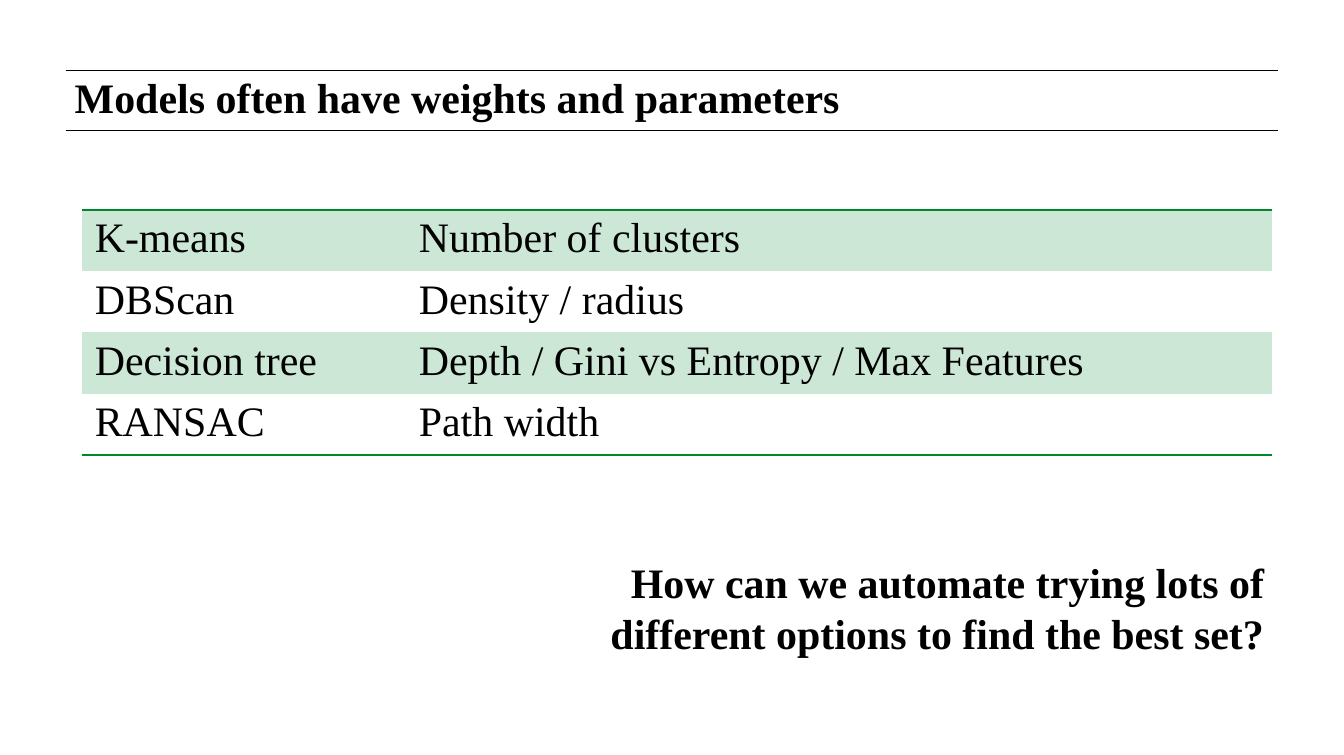
from lxml import etree
from pptx import Presentation
from pptx.dml.color import RGBColor
from pptx.enum.shapes import MSO_CONNECTOR
from pptx.enum.text import MSO_ANCHOR, PP_ALIGN
from pptx.oxml import parse_xml
from pptx.oxml.ns import nsdecls, qn
from pptx.util import Pt

STRAIGHT = MSO_CONNECTOR.STRAIGHT
TOP, MIDDLE = MSO_ANCHOR.TOP, MSO_ANCHOR.MIDDLE
LEFT, RIGHT = PP_ALIGN.LEFT, PP_ALIGN.RIGHT

TITLE = "Models often have weights and parameters"
QUESTION = "How can we automate trying lots of different options to find the best set?"
MODELS = [
    ("K-means", "Number of clusters"),
    ("DBScan", "Density / radius"),
    ("Decision tree", "Depth / Gini vs Entropy / Max Features"),
    ("RANSAC", "Path width"),
]

COLORS = {"text": "000000", "rule": "00882B", "band": "CCE7D5"}
FONT, SIZE = "Times New Roman", 23
RULE_LEFT, RULE_RIGHT, RULE_YS = 36, 701.3, (38.4, 71.4)
TABLE_LEFT, TABLE_TOP = 44.8, 115.2
COL_WIDTHS, ROW_HEIGHT = (177.8, 475.2), 32.8
INSET = 4.3


def rgb(name):
    return RGBColor.from_string(COLORS[name])


def style(p, bold=False):
    p.font.name, p.font.size, p.font.bold = FONT, Pt(SIZE), bold
    p.font.color.rgb = rgb("text")


def add_text(s, box, text, anchor, align):
    tb = s.shapes.add_textbox(*map(Pt, box))
    tf = tb.text_frame
    tf.word_wrap = True
    tf.vertical_anchor = anchor
    tf.margin_left = tf.margin_right = tf.margin_top = tf.margin_bottom = Pt(INSET)
    p = tf.paragraphs[0]
    p.text, p.alignment = text, align
    style(p, bold=True)
    return p


def add_rule(s, y):
    line = s.shapes.add_connector(
        STRAIGHT, Pt(RULE_LEFT), Pt(y), Pt(RULE_RIGHT), Pt(y))
    line.line.color.rgb = rgb("text")
    line.line.width = Pt(0.5)
    etree.SubElement(line._element.spPr, qn("a:effectLst"))


def set_border(cell, side):
    """Draw a green line on one side of a cell: T or B."""
    border = parse_xml(
        f'<a:ln{side} {nsdecls("a")} w="{Pt(1)}"><a:solidFill>'
        f'<a:srgbClr val="{COLORS["rule"]}"/></a:solidFill></a:ln{side}>')
    cell._tc.get_or_add_tcPr().insert(0, border)


def add_model_table(s):
    n = len(MODELS)
    frame = s.shapes.add_table(
        n, len(COL_WIDTHS), Pt(TABLE_LEFT), Pt(TABLE_TOP),
        Pt(sum(COL_WIDTHS)), Pt(n * ROW_HEIGHT))
    table = frame.table
    table.first_row = table.horz_banding = False
    # The "No Style, No Grid" table style
    style_id = table._tbl.tblPr.find(qn("a:tableStyleId"))
    style_id.text = "{2D5ABB26-0587-4C30-8999-92F81FD0307C}"
    for col, width in zip(table.columns, COL_WIDTHS):
        col.width = Pt(width)
    for i, texts in enumerate(MODELS):
        table.rows[i].height = Pt(ROW_HEIGHT)
        for cell, text in zip(table.rows[i].cells, texts):
            cell.text = text
            cell.margin_top = cell.margin_bottom = Pt(3)
            style(cell.text_frame.paragraphs[0])
            if i % 2 == 0:
                cell.fill.solid()
                cell.fill.fore_color.rgb = rgb("band")
            else:
                cell.fill.background()
            if i == 0:
                set_border(cell, "T")
            elif i == n - 1:
                set_border(cell, "B")


def main():
    prs = Presentation()
    prs.slide_width, prs.slide_height = Pt(737.28), Pt(414)
    s = prs.slides.add_slide(prs.slide_layouts[6])
    for y in RULE_YS:
        add_rule(s, y)
    title = add_text(s, (36.7, 39.6, 620, 37.4), TITLE, TOP, LEFT)
    title.line_spacing = Pt(SIZE)
    add_model_table(s)
    add_text(s, (251.3, 301, 447.1, 64), QUESTION, MIDDLE, RIGHT)
    prs.save("out.pptx")


if __name__ == "__main__":
    main()
